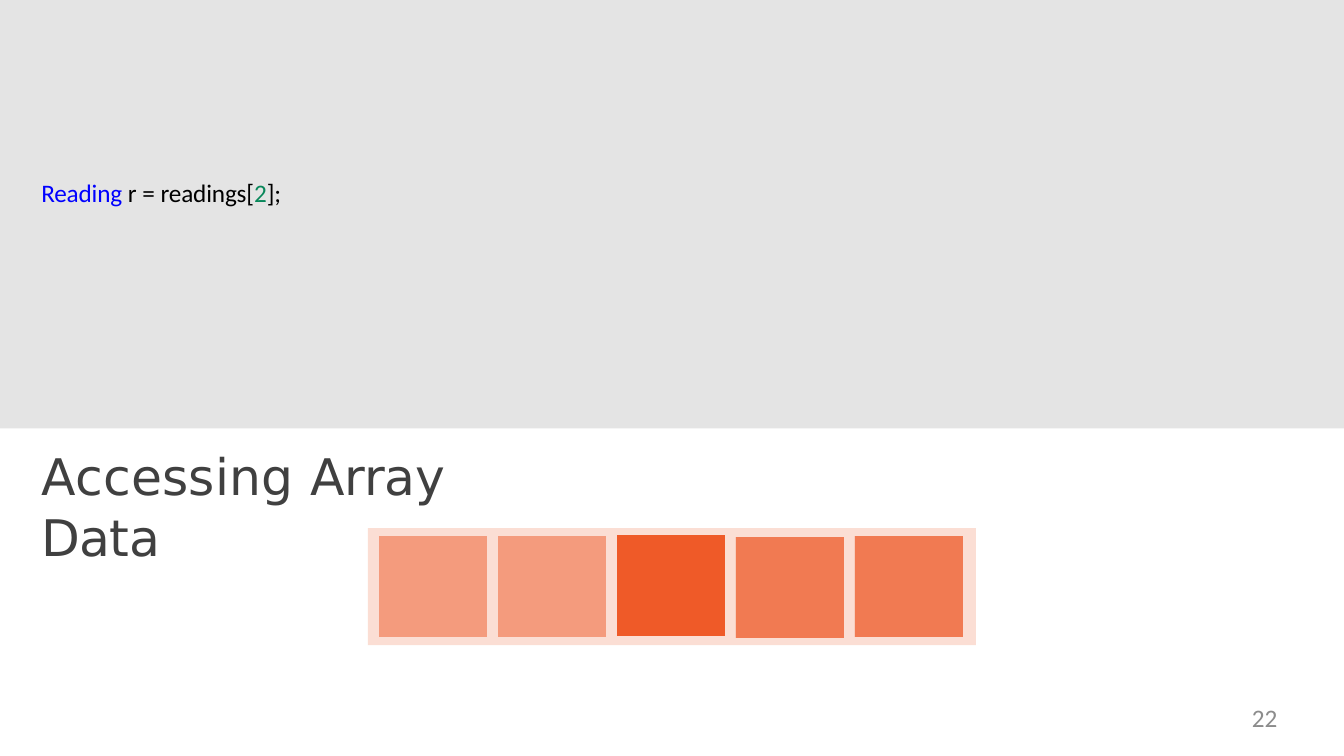
import pptx
import pptx.dml.color
import pptx.enum.shapes
import pptx.enum.text
import pptx.oxml.ns
import pptx.util
from lxml import etree

Inches = pptx.util.Inches
RGBColor = pptx.dml.color.RGBColor

WHITE = RGBColor(0xFF, 0xFF, 0xFF)
PANEL = RGBColor(0xE4, 0xE4, 0xE4)
ORANGE = RGBColor(0xEF, 0x5A, 0x28)
BLACK = RGBColor(0, 0, 0)
KEYWORD = RGBColor(0, 0, 0xFF)
NUMBER = RGBColor(0x08, 0x87, 0x5A)
TITLE = RGBColor(0x40, 0x40, 0x40)
PAGE_NUMBER = RGBColor(0x8C, 0x8C, 0x8C)

CELL_LEFT, CELL_STEP = 3.76, 1.18
CELL_WIDTH, CELL_HEIGHT = 1.07, 1
CELLS = [(0, 5.32, 50), (1, 5.32, 50), (3, 5.33, 50), (4, 5.32, 50),
         (2, 5.31, 100), (3, 5.33, 50), (4, 5.32, 50)]


def add_block(page, left, top, width, height, color, opacity=100):
    block = page.shapes.add_shape(
        pptx.enum.shapes.MSO_SHAPE.RECTANGLE,
        Inches(left), Inches(top), Inches(width), Inches(height))
    block.shadow.inherit = False
    block.line.fill.background()
    block.fill.solid()
    block.fill.fore_color.rgb = color
    if opacity < 100:
        qn = pptx.oxml.ns.qn
        fill = block.fill._xPr.find(qn("a:solidFill"))
        etree.SubElement(fill[0], qn("a:alpha"), val=str(opacity * 1000))


def add_text(page, left, top, width, height, spans, font, inset=0, align="LEFT"):
    box = page.shapes.add_textbox(
        Inches(left), Inches(top), Inches(width), Inches(height))
    frame_format = {
        "word_wrap": True,
        "margin_left": 0, "margin_right": 0, "margin_bottom": 0,
        "margin_top": Inches(inset),
    }
    for name, value in frame_format.items():
        setattr(box.text_frame, name, value)
    para = box.text_frame.paragraphs[0]
    para.alignment = getattr(pptx.enum.text.PP_ALIGN, align)
    for text, color, spacing in spans:
        span = para.add_run()
        span.text = text
        for name, value in font.items():
            setattr(span.font, name, value)
        span.font.color.rgb = color
        if spacing:
            span.font._element.set("spc", str(round(spacing * 100)))


def add_array(page):
    add_block(page, 3.65, 5.24, 6.03, 1.16, ORANGE, 20)
    for index, top, opacity in CELLS:
        add_block(page, CELL_LEFT + index * CELL_STEP, top,
                  CELL_WIDTH, CELL_HEIGHT, ORANGE, opacity)


def main():
    deck = pptx.Presentation()
    deck.slide_width = Inches(13.33)
    deck.slide_height = Inches(7.5)
    page = deck.slides.add_slide(deck.slide_layouts[6])
    page.background.fill.solid()
    page.background.fill.fore_color.rgb = WHITE

    body_font = {"name": "Calibri", "size": pptx.util.Pt(18)}
    title_font = {"name": "DejaVu Sans", "size": pptx.util.Pt(36)}

    add_block(page, 0, 0, 13.33, 4.25, PANEL)
    add_text(page, 0.41, 1.74, 2.44, 0.33, [
        ("Reading ", KEYWORD, -0.1),
        ("r = ", BLACK, 0),
        ("readings[", BLACK, -0.1),
        ("2", NUMBER, -0.1),
        ("];", BLACK, -0.1),
    ], body_font, inset=0.02)
    add_array(page)
    add_text(page, 0.41, 4.4, 5.32, 0.63, [
        ("Accessing ", TITLE, 0.2),
        ("Array ", TITLE, -0.2),
        ("Data", TITLE, -0.4),
    ], title_font, inset=0.02)
    add_text(page, 9.6, 6.97, 3.07, 0.38,
             [("22", PAGE_NUMBER, 0)], body_font, align="RIGHT")
    deck.save("out.pptx")


if __name__ == "__main__":
    main()
